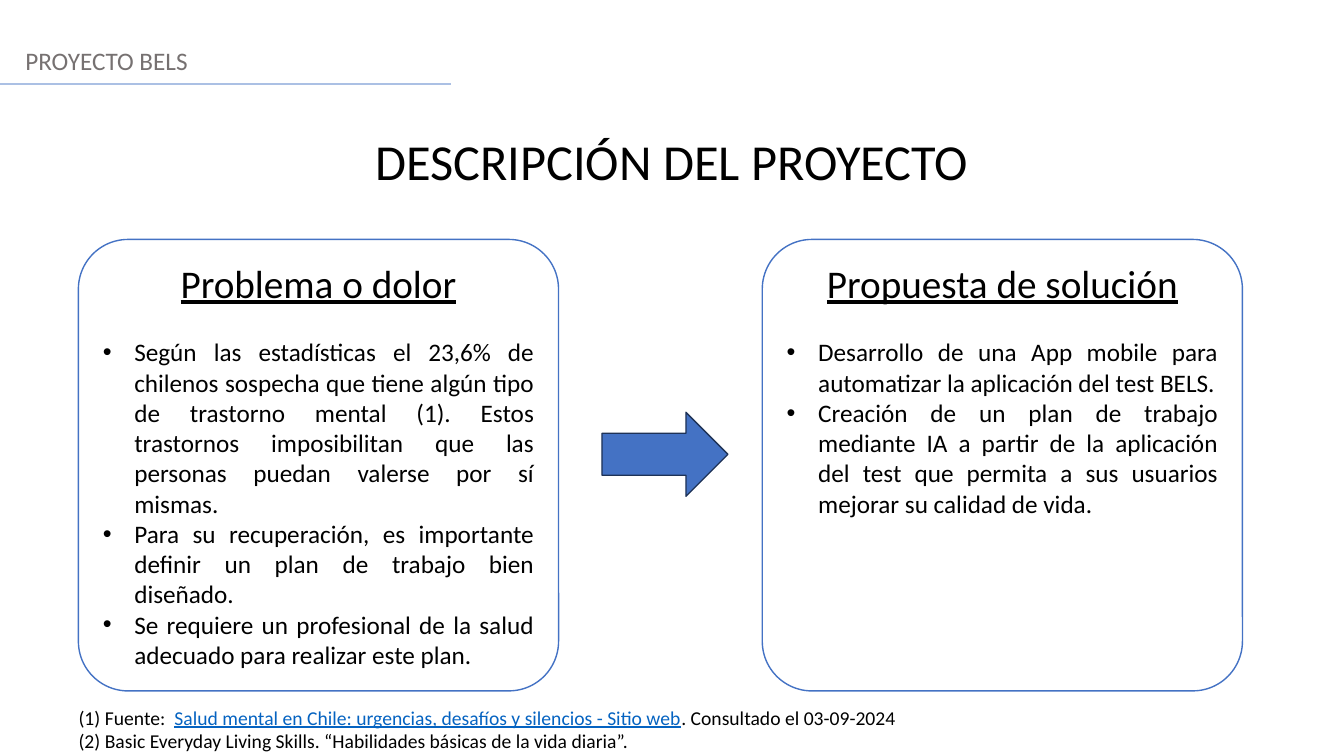
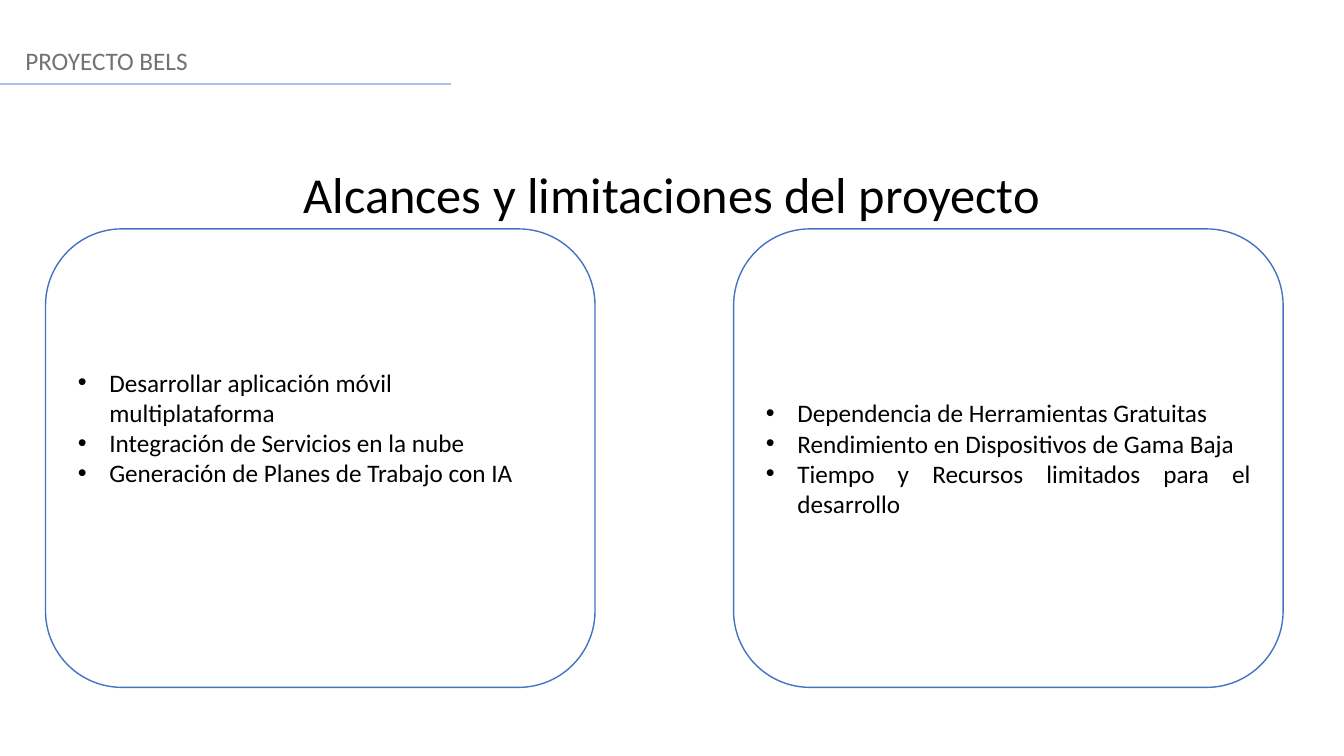
from lxml.etree import SubElement
from pptx import Presentation
from pptx.dml.color import RGBColor
from pptx.enum.shapes import MSO_CONNECTOR, MSO_SHAPE
from pptx.enum.text import MSO_ANCHOR, PP_ALIGN
from pptx.oxml.ns import qn
from pptx.util import Pt

COLORS = {
    "text": "000000", "muted": "767171", "rule": "ABC0E4", "white": "FFFFFF",
    "accent": "4472C4", "arrow_line": "1E3256", "link": "0563C1",
}
FONT = "Calibri"
INDENT = 22.5


def rgb(name):
    """Return the named palette colour."""
    return RGBColor.from_string(COLORS[name])


def add_text(p, text, size=18, color="text", underline=False):
    """Append a formatted run to a paragraph."""
    r = p.add_run()
    r.text = text
    r.font.name = FONT
    r.font.size = Pt(size)
    r.font.underline = underline
    r.font.color.rgb = rgb(color)


def next_paragraph(tf):
    """Return the unused first paragraph or a new one."""
    first = tf.paragraphs[0]
    return tf.add_paragraph() if first.runs else first


def add_bullet(tf, text, align):
    """Add one bulleted paragraph with a hanging indent."""
    p = next_paragraph(tf)
    p.alignment = align
    pPr = p._p.get_or_add_pPr()
    pPr.set("marL", str(Pt(INDENT)))
    pPr.set("indent", str(-Pt(INDENT)))
    SubElement(pPr, qn("a:buFont"), typeface="Arial")
    SubElement(pPr, qn("a:buChar"), char="•")
    add_text(p, text)


def add_box(s, x, y, w, h):
    """Add a wrapping text box and return its text frame."""
    tf = s.shapes.add_textbox(Pt(x), Pt(y), Pt(w), Pt(h)).text_frame
    tf.word_wrap = True
    return tf


def add_block(s, kind, x, y, w, h, fill, line):
    """Add a flat preset shape with a thin outline."""
    sp = s.shapes.add_shape(kind, Pt(x), Pt(y), Pt(w), Pt(h))
    sp.shadow.inherit = False
    sp.fill.solid()
    sp.fill.fore_color.rgb = rgb(fill)
    sp.line.color.rgb = rgb(line)
    sp.line.width = Pt(1)
    return sp


def add_card(s, x, y, w, h, bullets, heading=None, radius=None,
             align=PP_ALIGN.JUSTIFY, bottom=3.6):
    """Add a rounded card with an optional heading above its bullets."""
    sp = add_block(s, MSO_SHAPE.ROUNDED_RECTANGLE, x, y, w, h, "white", "accent")
    if radius:
        sp.adjustments[0] = radius
    tf = sp.text_frame
    tf.word_wrap = True
    tf.margin_bottom = Pt(bottom)
    tf.vertical_anchor = MSO_ANCHOR.TOP if heading else MSO_ANCHOR.MIDDLE
    if heading:
        p = tf.paragraphs[0]
        p.alignment = PP_ALIGN.CENTER
        p.space_after = Pt(22)
        add_text(p, heading, size=28, underline=True)
    for text in bullets:
        add_bullet(tf, text, align)


def add_header(s):
    """Add the project name and the rule below it."""
    add_text(add_box(s, 11, 29, 949, 29).paragraphs[0], "PROYECTO BELS", color="muted")
    rule = s.shapes.add_connector(MSO_CONNECTOR.STRAIGHT, 0, Pt(60), Pt(322), Pt(60))
    rule.line.color.rgb = rgb("rule")
    rule.line.width = Pt(1.25)
    SubElement(rule._element.spPr, qn("a:effectLst"))


def new_slide(prs, title, top):
    """Start a title-only slide with the shared header."""
    s = prs.slides.add_slide(prs.slide_layouts[5])
    sp = s.shapes.title
    sp.left, sp.top, sp.width, sp.height = 0, Pt(top), prs.slide_width, Pt(51)
    tf = sp.text_frame
    tf.vertical_anchor = MSO_ANCHOR.TOP
    p = tf.paragraphs[0]
    p.alignment = PP_ALIGN.CENTER
    add_text(p, title, size=36)
    add_header(s)
    return s


def add_sources(s, x, y, w, h):
    """Add the numbered source notes."""
    tf = add_box(s, x, y, w, h)
    p = tf.paragraphs[0]
    add_text(p, "(1) Fuente:  ", size=14)
    add_text(p, "Salud mental en Chile: urgencias, desafíos y silencios - Sitio web",
             size=14, color="link", underline=True)
    add_text(p, ". Consultado el 03-09-2024", size=14)
    add_text(next_paragraph(tf),
             "(2) Basic Everyday Living Skills. “Habilidades básicas de la vida diaria”.",
             size=14)


def build_description(prs):
    """Build the problem and solution slide."""
    s = new_slide(prs, "DESCRIPCIÓN DEL PROYECTO", 89)
    y, w, h, radius = 171, 343, 322.5, 0.11
    add_card(s, 56, y, w, h, [
        "Según las estadísticas el 23,6% de chilenos sospecha que tiene algún tipo de "
        "trastorno mental (1). Estos trastornos imposibilitan que las personas puedan "
        "valerse por sí mismas.",
        "Para su recuperación, es importante definir un plan de trabajo bien diseñado.",
        "Se requiere un profesional de la salud adecuado para realizar este plan.",
    ], heading="Problema o dolor", radius=radius)
    add_card(s, 544.5, y, w, h, [
        "Desarrollo de una App mobile para automatizar la aplicación del test BELS.",
        "Creación de un plan de trabajo mediante IA a partir de la aplicación del test "
        "que permita a sus usuarios mejorar su calidad de vida.",
    ], heading="Propuesta de solución", radius=radius)
    add_block(s, MSO_SHAPE.RIGHT_ARROW, 430, 294.5, 90, 60, "accent", "arrow_line")
    add_sources(s, 49, 500.5, 852, 41)


def build_scope(prs):
    """Build the scope and limitations slide."""
    s = new_slide(prs, "Alcances y limitaciones del proyecto", 113)
    y, w, h = 163.5, 392.5, 327.5
    add_card(s, 524, y, w, h, [
        "Dependencia de Herramientas Gratuitas",
        "Rendimiento en Dispositivos de Gama Baja",
        "Tiempo y Recursos limitados para el desarrollo",
    ])
    add_card(s, 32.5, y, w, h, [
        "Desarrollar aplicación móvil multiplataforma",
        "Integración de Servicios en la nube",
        "Generación de Planes de Trabajo con IA",
    ], align=PP_ALIGN.LEFT, bottom=47.6)


def main():
    """Build and save the presentation."""
    prs = Presentation()
    prs.slide_width, prs.slide_height = Pt(960), Pt(540)
    build_description(prs)
    build_scope(prs)
    prs.save("out.pptx")


if __name__ == "__main__":
    main()
